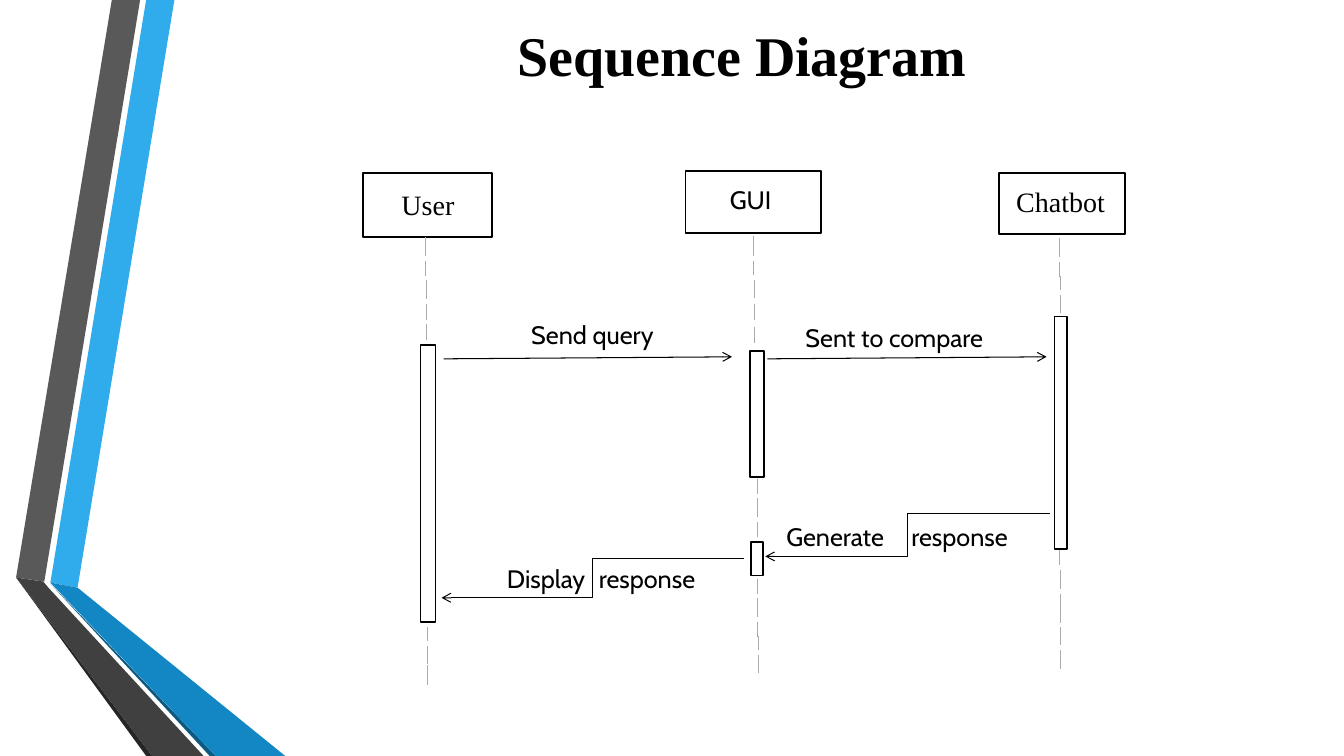
from pptx import Presentation
from pptx.dml.color import RGBColor
from pptx.enum import shapes, text
from pptx.oxml import parse_xml
from pptx.oxml.ns import nsdecls
from pptx.util import Inches, Pt

BLACK = RGBColor(0x00, 0x00, 0x00)
WHITE = RGBColor(0xFF, 0xFF, 0xFF)
DASH_GREY = RGBColor(0xAB, 0xAB, 0xAB)
SKY = RGBColor(0x30, 0xAC, 0xEC)
BLUE = RGBColor(0x12, 0x87, 0xC3)
NAVY = RGBColor(0x0C, 0x5A, 0x82)
GREY = RGBColor(0x59, 0x59, 0x59)
DARK_GREY = RGBColor(0x40, 0x40, 0x40)
CHARCOAL = RGBColor(0x26, 0x26, 0x26)

prs = Presentation()
prs.slide_width, prs.slide_height = Inches(13.33), Inches(7.5)
slide = prs.slides.add_slide(prs.slide_layouts[5])


def draw_line(kind, start, end, color, arrow=False):
    line = slide.shapes.add_connector(kind, *map(Inches, start + end))
    line.line.color.rgb = color
    line.line.width = Pt(0.75)
    if arrow:
        line.line._get_or_add_ln().append(
            parse_xml(f'<a:tailEnd {nsdecls("a")} type="arrow"/>'))
    line._element.spPr.append(parse_xml(f'<a:effectLst {nsdecls("a")}/>'))


def write(frame, words, align, wrap, **font_format):
    frame.text = words
    frame.word_wrap = wrap
    frame.vertical_anchor = text.MSO_ANCHOR.TOP
    paragraph = frame.paragraphs[0]
    paragraph.alignment = align
    paragraph.runs[0].font.color.rgb = BLACK
    for attribute, value in font_format.items():
        setattr(paragraph.runs[0].font, attribute, value)


# Folded ribbons on the left edge
ribbons = [
    (SKY, [(0.5, 5.78), (0.77, 5.83), (1.73, 0), (1.45, 0)]),
    (GREY, [(1.39, 0), (1.11, 0), (0.16, 5.73), (0.44, 5.77)]),
    (CHARCOAL, [(0.16, 5.73), (1.45, 7.5), (1.51, 7.5)]),
    (NAVY, [(0.5, 5.79), (2.08, 7.5), (2.14, 7.5)]),
    (BLUE, [(0.5, 5.78), (2.14, 7.5), (2.83, 7.5), (0.77, 5.83)]),
    (DARK_GREY, [(2.02, 7.5), (0.48, 5.83), (0.43, 5.77), (0.16, 5.73),
                 (1.51, 7.5)]),
]
for color, corners in ribbons:
    outline = slide.shapes.build_freeform(
        *map(Inches, corners[0]), scale=1.0)
    outline.add_line_segments(
        [(Inches(x), Inches(y)) for x, y in corners[1:]], close=True)
    ribbon = outline.convert_to_shape()
    ribbon.shadow.inherit = False
    ribbon.fill.solid()
    ribbon.fill.fore_color.rgb = color
    ribbon.line.fill.background()

# Title
title = slide.shapes.title
title.left, title.top, title.width, title.height = map(
    Inches, (5.03, 0.15, 4.71, 1.08))
write(title.text_frame, "Sequence Diagram", text.PP_ALIGN.LEFT, False,
      name="Times New Roman", size=Pt(40), bold=True)
title.text_frame.auto_size = text.MSO_AUTO_SIZE.NONE

# Participant heads and activation bars
heads = [(3.6, 1.72, 1.28, 0.63), (6.8, 1.7, 1.34, 0.61),
         (9.91, 1.72, 1.25, 0.6)]
activations = [(4.17, 3.42, 0.15, 2.75), (7.44, 3.48, 0.14, 1.25),
               (7.45, 5.38, 0.12, 0.33), (10.46, 3.14, 0.12, 2.31)]
for place in heads + activations:
    box = slide.shapes.add_shape(
        shapes.MSO_SHAPE.RECTANGLE, *map(Inches, place))
    box.shadow.inherit = False
    box.fill.solid()
    box.fill.fore_color.rgb = WHITE
    box.line.color.rgb = BLACK
    box.line.width = Pt(1.25)

# Dashed lifelines: x, then top and bottom of each dash
lifelines = [
    (4.22, [(2.35, 2.54), (2.59, 2.74)]),
    (4.23, [(2.78, 2.97), (3.02, 3.17), (3.21, 3.37)]),
    (4.24, [(6.22, 6.36), (6.41, 6.59), (6.6, 6.8)]),
    (7.47, [(2.34, 2.54), (2.59, 2.73)]),
    (7.48, [(2.78, 2.96), (3.02, 3.17), (3.24, 3.4)]),
    (7.51, [(4.75, 4.9), (4.94, 5.13), (5.18, 5.33),
            (5.74, 5.89), (5.93, 6.12), (6.17, 6.32)]),
    (7.52, [(6.31, 6.45), (6.5, 6.68)]),
    (10.51, [(2.36, 2.55), (2.6, 2.75), (5.46, 5.61)]),
    (10.52, [(2.74, 2.88), (2.93, 3.11), (5.65, 5.84), (5.89, 6.04),
             (6.03, 6.18), (6.22, 6.4), (6.45, 6.64)]),
]
for x, dashes in lifelines:
    for top, bottom in dashes:
        draw_line(shapes.MSO_CONNECTOR.STRAIGHT, (x, top), (x, bottom),
                  DASH_GREY)

# Messages: straight requests, stepped replies
messages = [
    (shapes.MSO_CONNECTOR.STRAIGHT, (4.4, 3.56), (7.26, 3.54)),
    (shapes.MSO_CONNECTOR.STRAIGHT, (7.61, 3.56), (10.38, 3.54)),
    (shapes.MSO_CONNECTOR.ELBOW, (10.41, 5.09), (7.59, 5.52)),
    (shapes.MSO_CONNECTOR.ELBOW, (7.38, 5.54), (4.38, 5.93)),
]
for kind, start, end in messages:
    draw_line(kind, start, end, BLACK, arrow=True)

# Participant names and message labels
SERIF = {"name": "Times New Roman", "size": Pt(20)}
SANS = {"name": "Cabin", "size": Pt(18)}
labels = [
    ("User", (3.88, 1.81, 0.73, 0.44), text.PP_ALIGN.CENTER, False, SERIF),
    ("Chatbot", (9.98, 1.78, 1.09, 0.44), text.PP_ALIGN.LEFT, False, SERIF),
    ("GUI", (7.14, 1.78, 1.17, 0.42), text.PP_ALIGN.LEFT, True, SANS),
]
message_words = [
    ("Send query", 5.17, 3.12, 1.62), ("Sent to compare", 7.89, 3.15, 2.15),
    ("Generate", 7.7, 5.12, 1.32), ("response", 8.94, 5.12, 1.27),
    ("Display", 4.93, 5.54, 1.1), ("response", 5.84, 5.54, 1.32),
]
for words, left, top, width in message_words:
    labels.append((words, (left, top, width, 0.4), text.PP_ALIGN.LEFT,
                   True, SANS))
for words, place, align, wrap, font_format in labels:
    label = slide.shapes.add_textbox(*map(Inches, place))
    write(label.text_frame, words, align, wrap, **font_format)

prs.save("out.pptx")
